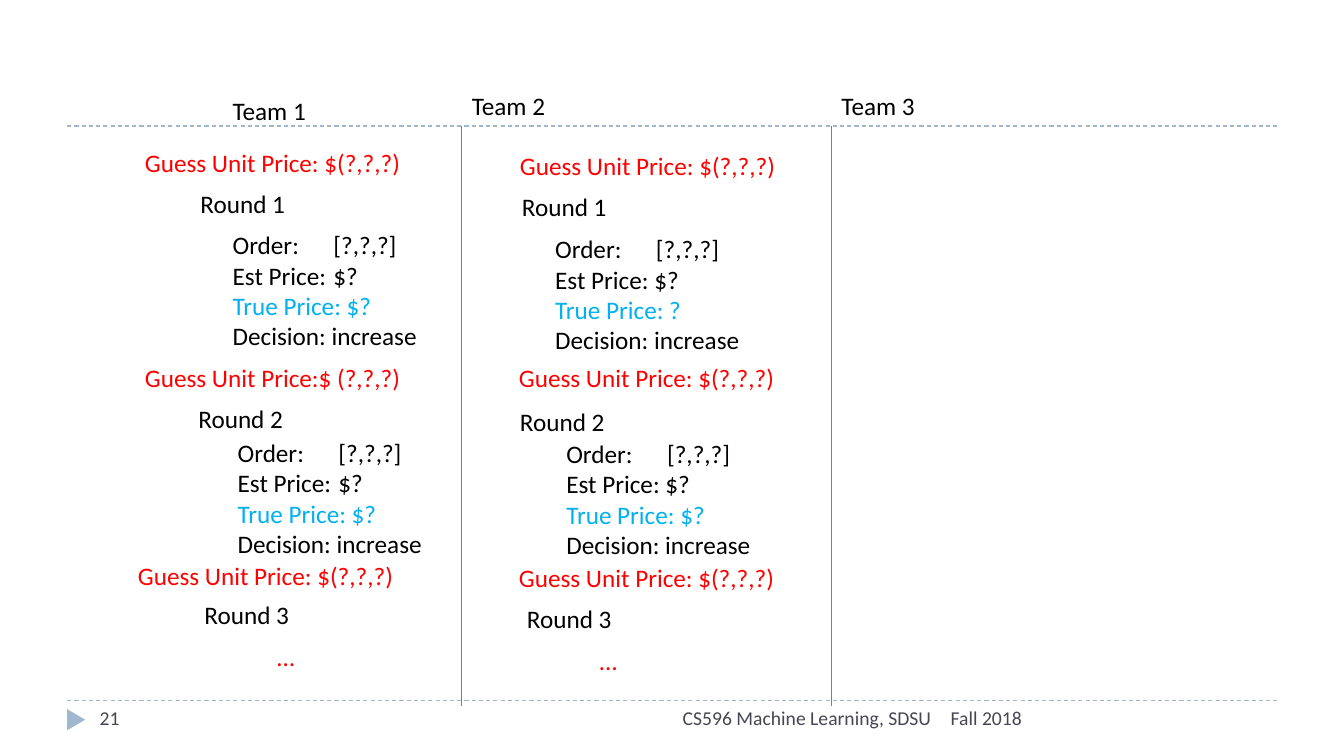
"""Build the slide that tracks each team's guesses and orders round by round."""
from dataclasses import dataclass

from lxml.etree import SubElement
from pptx import Presentation
from pptx.dml.color import RGBColor
from pptx.enum.dml import MSO_LINE
from pptx.enum.shapes import MSO_CONNECTOR, MSO_SHAPE
from pptx.enum.text import MSO_AUTO_SIZE, PP_ALIGN
from pptx.oxml.ns import qn
from pptx.slide import Slide
from pptx.util import Inches, Pt

CELL = Inches(1) // 12
COLUMNS, ROWS = 160, 90
LINE_ROWS, ORDER_ROWS = 4.8, 15.72
NAME_WIDTH, ROUND_WIDTH, ORDER_WIDTH, MORE_WIDTH = 11.28, 12.84, 24.36, 5.4

BLACK = RGBColor(0x00, 0x00, 0x00)
RED = RGBColor(0xFF, 0x00, 0x00)
BLUE = RGBColor(0x00, 0xB0, 0xF0)
SLATE = RGBColor(0x46, 0x46, 0x53)
PALE_BLUE = RGBColor(0x9F, 0xB8, 0xCD)
INDIGO = RGBColor(0x72, 0x7C, 0xA3)

GUESS = "Guess Unit Price: $(?,?,?)"
MORE = "…"


@dataclass(frozen=True)
class Rule:
    """A straight line between two grid points."""
    start: tuple[float, float]
    end: tuple[float, float]
    color: RGBColor
    dashed: bool = False


@dataclass(frozen=True)
class Label:
    """A text box placed on the grid."""
    text: str
    column: float
    row: float
    width: float
    color: RGBColor = BLACK
    height: float = LINE_ROWS
    size: int = 18
    wrap: bool = False
    align: PP_ALIGN = PP_ALIGN.LEFT


def guess(column: float, row: float, width: float, text: str = GUESS) -> Label:
    """Describe a team's unit price guess."""
    return Label(text, column, row, width, RED, wrap=True)


def round_name(number: int, column: float, row: float) -> Label:
    """Describe the heading of a round."""
    return Label(f"Round {number}", column, row, ROUND_WIDTH)


def order(column: float, row: float, estimate: str, true_price: str = "$?") -> Label:
    """Describe the four lines of a team's order."""
    lines = ("Order: \t[?,?,?]", f"Est Price: {estimate}",
             f"True Price: {true_price}", "Decision: increase")
    return Label("\n".join(lines), column, row, ORDER_WIDTH, height=ORDER_ROWS)


def footer(text: str, column: float, width: float,
           align: PP_ALIGN = PP_ALIGN.LEFT) -> Label:
    """Describe one part of the footer."""
    return Label(text, column, 83.4, width, SLATE, size=14, wrap=True, align=align)


RULES = (
    *(Rule((8, row), (152, row), PALE_BLUE, True) for row in (83.4, 15)),
    *(Rule((column, 15), (column, 84), INDIGO) for column in (55, 99)),
)

LABELS = (
    Label("Team 1", 26.52, 10.8, NAME_WIDTH),
    guess(16.08, 16.92, 38.88),
    round_name(1, 22.68, 21.84),
    order(26.52, 26.76, "\t$?"),
    guess(16.08, 42.6, 38.88, "Guess Unit Price:$ (?,?,?)"),
    round_name(2, 22.44, 47.4),
    order(27.12, 51.48, "\t$?"),
    guess(15.24, 66.12, 37.92),
    round_name(3, 23.16, 70.8),
    Label(MORE, 31.8, 75.72, MORE_WIDTH, RED),
    Label("Team 2", 55, 10.2, NAME_WIDTH),
    guess(60.72, 17.28, 35.8),
    round_name(1, 60.96, 22.2),
    order(64.92, 27.24, "$?", "?"),
    guess(60.6, 42.6, 35.88),
    round_name(2, 60.72, 47.76),
    order(66.24, 51.6, "$?"),
    guess(60.6, 66.36, 35.88),
    round_name(3, 61.56, 71.28),
    Label(MORE, 70.2, 76.2, MORE_WIDTH, RED),
    Label("Team 3", 99, 10.2, NAME_WIDTH),
    footer("Fall 2018", 112, 40),
    footer("CS596 Machine Learning, SDSU", 50.76, 61.32, PP_ALIGN.RIGHT),
    footer("21", 10.68, 34.68),
)


def cells(*counts: float) -> list[int]:
    """Turn grid counts into slide lengths."""
    return [round(count * CELL) for count in counts]


def draw_rule(slide: Slide, rule: Rule) -> None:
    """Draw one straight line."""
    connector = slide.shapes.add_connector(
        MSO_CONNECTOR.STRAIGHT, *cells(*rule.start, *rule.end))
    connector.line.color.rgb = rule.color
    connector.line.width = Pt(0.75)
    if rule.dashed:
        connector.line.dash_style = MSO_LINE.DASH
    SubElement(connector._element.spPr, qn("a:effectLst"))


def draw_page_marker(slide: Slide) -> None:
    """Draw the triangle that points at the page number."""
    marker = slide.shapes.add_shape(
        MSO_SHAPE.ISOSCELES_TRIANGLE, *cells(7.8, 84.6, 2.52, 2.16))
    marker.rotation = 90
    marker.shadow.inherit = False
    marker.fill.solid()
    marker.fill.fore_color.rgb = PALE_BLUE
    marker.line.fill.background()


def draw_label(slide: Slide, label: Label) -> None:
    """Draw one text box, with true prices in blue."""
    box = slide.shapes.add_textbox(
        *cells(label.column, label.row, label.width, label.height))
    text_frame = box.text_frame
    text_frame.word_wrap = label.wrap
    if label.color != SLATE:
        text_frame.auto_size = MSO_AUTO_SIZE.SHAPE_TO_FIT_TEXT
    text_frame.text = label.text
    for paragraph in text_frame.paragraphs:
        paragraph.alignment = label.align
        for run in paragraph.runs:
            run.font.name = "Calibri"
            run.font.size = Pt(label.size)
            is_true_price = run.text.startswith("True Price")
            run.font.color.rgb = BLUE if is_true_price else label.color


def main() -> None:
    """Build and save the presentation."""
    presentation = Presentation()
    presentation.slide_width, presentation.slide_height = cells(COLUMNS, ROWS)
    slide = presentation.slides.add_slide(presentation.slide_layouts[6])
    for rule in RULES:
        draw_rule(slide, rule)
    draw_page_marker(slide)
    for label in LABELS:
        draw_label(slide, label)
    presentation.save("out.pptx")


if __name__ == "__main__":
    main()
